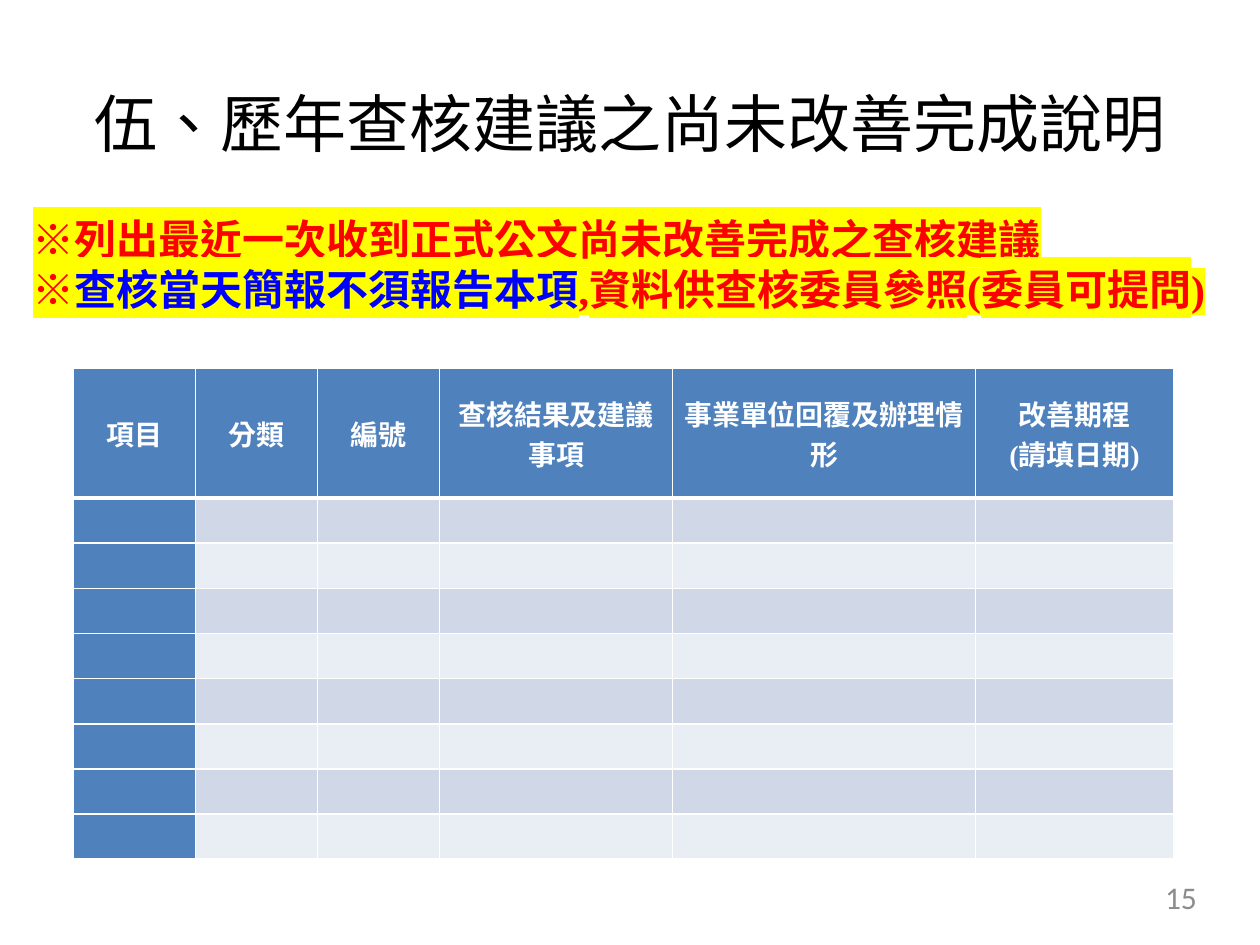
from lxml import etree
from pptx import Presentation
from pptx.dml.color import RGBColor
from pptx.enum.lang import MSO_LANGUAGE_ID
from pptx.enum.text import MSO_ANCHOR, MSO_AUTO_SIZE, PP_ALIGN
from pptx.oxml.ns import qn
from pptx.util import Cm, Pt

LEFT, MID, RIGHT = PP_ALIGN.LEFT, PP_ALIGN.CENTER, PP_ALIGN.RIGHT
TOP, CENTER = MSO_ANCHOR.TOP, MSO_ANCHOR.MIDDLE
FIXED = MSO_AUTO_SIZE.NONE
TAIWAN = MSO_LANGUAGE_ID.TRADITIONAL_CHINESE

BLACK, WHITE, GREY = "000000", "FFFFFF", "8C8C8C"
RED, BLUE, YELLOW = "FF0000", "0000FF", "FFFF00"
HEAD, BANDS = "4F81BD", ("D0D8E8", "E9EDF4")


def color(code):
    return RGBColor.from_string(code)


class Page:
    sans, serif, latin = "Noto Sans CJK SC", "Times New Roman", "Calibri"

    def __init__(self, deck):
        self.slide = deck.slides.add_slide(deck.slide_layouts[5])

    def style(self, run, size, face, tint, bold=False, mark=None):
        font = run.font
        font.size, font.name, font.bold = Pt(size), face, bold
        font.color.rgb = color(tint)
        font.language_id = TAIWAN
        props = run._r.get_or_add_rPr()
        if mark:
            light = etree.Element(qn("a:highlight"))
            etree.SubElement(light, qn("a:srgbClr"), val=mark)
            props.find(qn("a:solidFill")).addnext(light)
        east = etree.Element(qn("a:ea"), typeface=self.sans)
        props.find(qn("a:latin")).addnext(east)

    def frame(self, shape, anchor, pad=(0, 0)):
        frame = shape.text_frame
        frame.word_wrap = True
        frame.auto_size = FIXED
        frame.vertical_anchor = anchor
        frame.margin_left = frame.margin_right = Cm(pad[0])
        frame.margin_top = frame.margin_bottom = Cm(pad[1])
        return frame

    def title(self, text, box):
        shape = self.slide.shapes.title
        shape.left, shape.top, shape.width, shape.height = map(Cm, box)
        frame = self.frame(shape, CENTER)
        frame.text = text
        line = frame.paragraphs[0]
        line.alignment = LEFT
        self.style(line.runs[0], 36, self.sans, BLACK)

    def notes(self, lines, box):
        shape = self.slide.shapes.add_textbox(*map(Cm, box))
        frame = self.frame(shape, TOP, (0.25, 0.13))
        for i, parts in enumerate(lines):
            line = frame.add_paragraph() if i else frame.paragraphs[0]
            for text, tint in parts:
                run = line.add_run()
                run.text = text
                self.style(run, 24, self.serif, tint, True, YELLOW)

    def number(self, text, box):
        shape = self.slide.shapes.add_textbox(*map(Cm, box))
        frame = self.frame(shape, TOP)
        frame.text = text
        line = frame.paragraphs[0]
        line.alignment = RIGHT
        self.style(line.runs[0], 18, self.latin, GREY)

    def border(self, cell, **widths):
        props = cell._tc.get_or_add_tcPr()
        for i, side in enumerate("LRTB"):
            width = Pt(widths.get(side, 1))
            edge = etree.Element(qn("a:ln" + side), w=str(width))
            fill = etree.SubElement(edge, qn("a:solidFill"))
            etree.SubElement(fill, qn("a:srgbClr"), val=WHITE)
            props.insert(i, edge)

    def cell(self, cell, text, fill):
        cell.margin_left = cell.margin_right = Cm(0.18)
        cell.margin_top = cell.margin_bottom = 0
        cell.vertical_anchor = CENTER
        cell.fill.solid()
        cell.fill.fore_color.rgb = color(fill)
        if not text:
            return
        cell.text_frame.text = text
        for line in cell.text_frame.paragraphs:
            line.alignment = MID
            self.style(line.runs[0], 16, self.serif, WHITE, True)

    def table(self, heads, widths, heights, left, top):
        size = sum(widths), sum(heights)
        grid = self.slide.shapes.add_table(
            len(heights), len(heads), *map(Cm, (left, top, *size))).table
        for col, width in zip(grid.columns, widths):
            col.width = Cm(width)
        for r, height in enumerate(heights):
            grid.rows[r].height = Cm(height)
            rule = {0: {"B": 3}, 1: {"T": 3}}.get(r, {})
            for c, head in enumerate(heads):
                fill = HEAD if r == 0 or c == 0 else BANDS[(r - 1) % 2]
                cell = grid.cell(r, c)
                self.cell(cell, "" if r else head, fill)
                self.border(cell, **rule)


deck = Presentation()
deck.slide_width, deck.slide_height = Cm(25.4), Cm(19.05)
page = Page(deck)
page.title("伍、歷年查核建議之尚未改善完成說明", (1.9, 1.7, 22.23, 1.55))
page.table(
    ["項目", "分類", "編號", "查核結果及建議事項", "事業單位回覆及辦理情形",
     "改善期程\n(請填日期)"],
    [2.46] * 3 + [4.7, 6.1, 4], [2.62] + [0.91] * 8, 1.48, 7.42)
page.number("15", (18.29, 17.7, 5.84, 0.97))
page.notes(
    [[("※列出最近一次收到正式公文尚未改善完成之查核建議", RED)],
     [("※", RED), ("查核當天簡報不須報告本項", BLUE),
      (",資料供查核委員參照(委員可提問)".replace(",", ","), RED)]],
    (0.41, 4.17, 25.02, 2.31))
deck.save("out.pptx")
